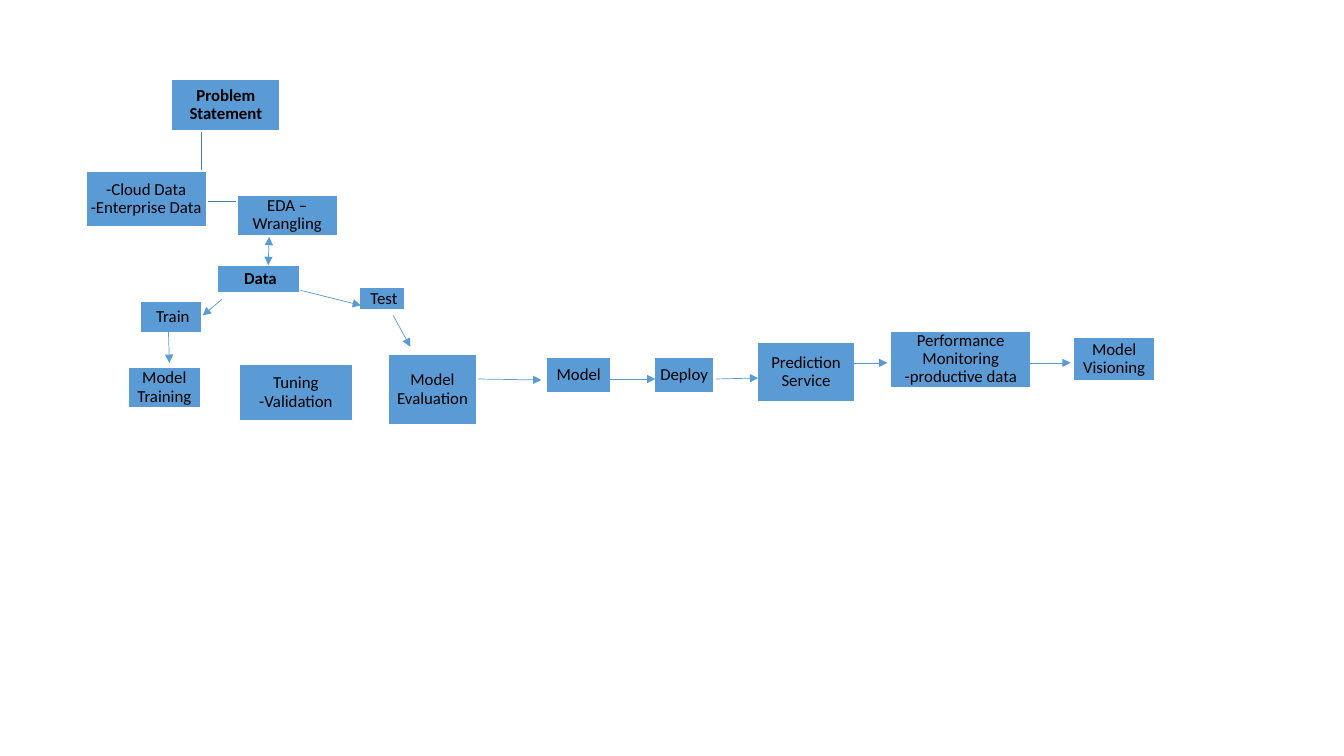
from lxml import etree
from pptx import Presentation
from pptx.dml.color import RGBColor
from pptx.enum import shapes, text
from pptx.oxml import ns
from pptx.util import Inches, Pt

BLUE = RGBColor(0x5B, 0x9B, 0xD5)
DARK_BLUE = RGBColor(0x49, 0x7C, 0xAB)
WHITE = RGBColor(0xFF, 0xFF, 0xFF)
BLACK = RGBColor(0x00, 0x00, 0x00)

deck = Presentation()
deck.slide_width, deck.slide_height = Inches(13.33), Inches(7.5)
page = deck.slides.add_slide(deck.slide_layouts[6])


def add_step(label, left, top, width, height, bold=False, size=12, color=BLACK):
    box = page.shapes.add_shape(
        shapes.MSO_SHAPE.RECTANGLE,
        Inches(left), Inches(top), Inches(width), Inches(height))
    box.shadow.inherit = False
    box.fill.solid()
    box.fill.fore_color.rgb = BLUE
    box.line.color.rgb = WHITE
    box.line.width = Pt(1.5)
    frame = box.text_frame
    frame.word_wrap = True
    frame.vertical_anchor = text.MSO_ANCHOR.MIDDLE
    frame.margin_left = frame.margin_right = Inches(0.01)
    frame.margin_top = frame.margin_bottom = Inches(0.01)
    para = frame.paragraphs[0]
    para.alignment = text.PP_ALIGN.CENTER
    para.line_spacing = 0.9
    for number, line in enumerate(label.split("\n")):
        if number:
            para.add_line_break()
        span = para.add_run()
        span.text = line
        span.font.name = "Calibri"
        span.font.size = Pt(size)
        span.font.bold = bold
        span.font.color.rgb = color


def add_arrow(start, end, both_ways=False):
    arrow = page.shapes.add_connector(
        shapes.MSO_CONNECTOR.STRAIGHT,
        *(Inches(value) for value in start + end))
    arrow.line.color.rgb = BLUE
    arrow.line.width = Pt(0.5)
    properties = arrow._element.spPr
    outline = properties.find(ns.qn("a:ln"))
    for tip in ["a:headEnd", "a:tailEnd"] if both_ways else ["a:tailEnd"]:
        etree.SubElement(outline, ns.qn(tip), type="triangle")
    etree.SubElement(properties, ns.qn("a:effectLst"))


# Elbow branches from the problem statement
branches = [
    [(2.24, 1.3), (2.24, 1.97), (2.05, 1.97)],
    [(2.24, 1.3), (2.24, 1.88), (2.85, 1.88), (2.85, 1.93)],
]
for start, *corners in branches:
    builder = page.shapes.build_freeform(*start, scale=Inches(1))
    builder.add_line_segments(corners, close=False)
    branch = builder.convert_to_shape()
    branch.shadow.inherit = False
    branch.fill.background()
    branch.line.color.rgb = DARK_BLUE
    branch.line.width = Pt(1)

# Workflow steps: label, left, top, width, height
add_step("Problem Statement", 1.7, 0.78, 1.08, 0.52, bold=True)
add_step(" Data", 2.15, 2.63, 0.83, 0.28, bold=True)
steps = [
    ("EDA – Wrangling", 2.35, 1.93, 1, 0.41),
    ("-Cloud Data\n-Enterprise Data", 0.85, 1.7, 1.2, 0.55),
    (" Train", 1.39, 2.99, 0.61, 0.31),
    ("Model Training", 1.27, 3.64, 0.72, 0.41),
    (" Test", 3.56, 2.85, 0.46, 0.23),
    ("Model Evaluation", 3.85, 3.51, 0.88, 0.71),
    ("Tuning -Validation", 2.37, 3.61, 1.13, 0.57),
    ("Model", 5.42, 3.54, 0.64, 0.36),
    ("Deploy", 6.49, 3.54, 0.59, 0.36),
    ("Prediction Service", 7.51, 3.39, 0.97, 0.6),
    ("Performance Monitoring\n-productive data", 8.83, 3.28, 1.4, 0.57),
    ("Model Visioning", 10.64, 3.34, 0.82, 0.44),
]
for step in steps:
    add_step(*step)

# Arrows between the steps
add_arrow((2.67, 2.35), (2.66, 2.63), both_ways=True)
arrows = [
    ((2.2, 2.97), (2.01, 3.13)),
    ((2.98, 2.88), (3.58, 3.03)),
    ((1.67, 3.25), (1.68, 3.6)),
    ((3.9, 3.13), (4.07, 3.44)),
    ((4.74, 3.76), (5.37, 3.77)),
    ((6.04, 3.76), (6.5, 3.76)),
    ((7.1, 3.76), (7.52, 3.75)),
    ((8.42, 3.6), (8.8, 3.6)),
    ((10.21, 3.6), (10.62, 3.6)),
]
for start, end in arrows:
    add_arrow(start, end)

deck.save("out.pptx")
